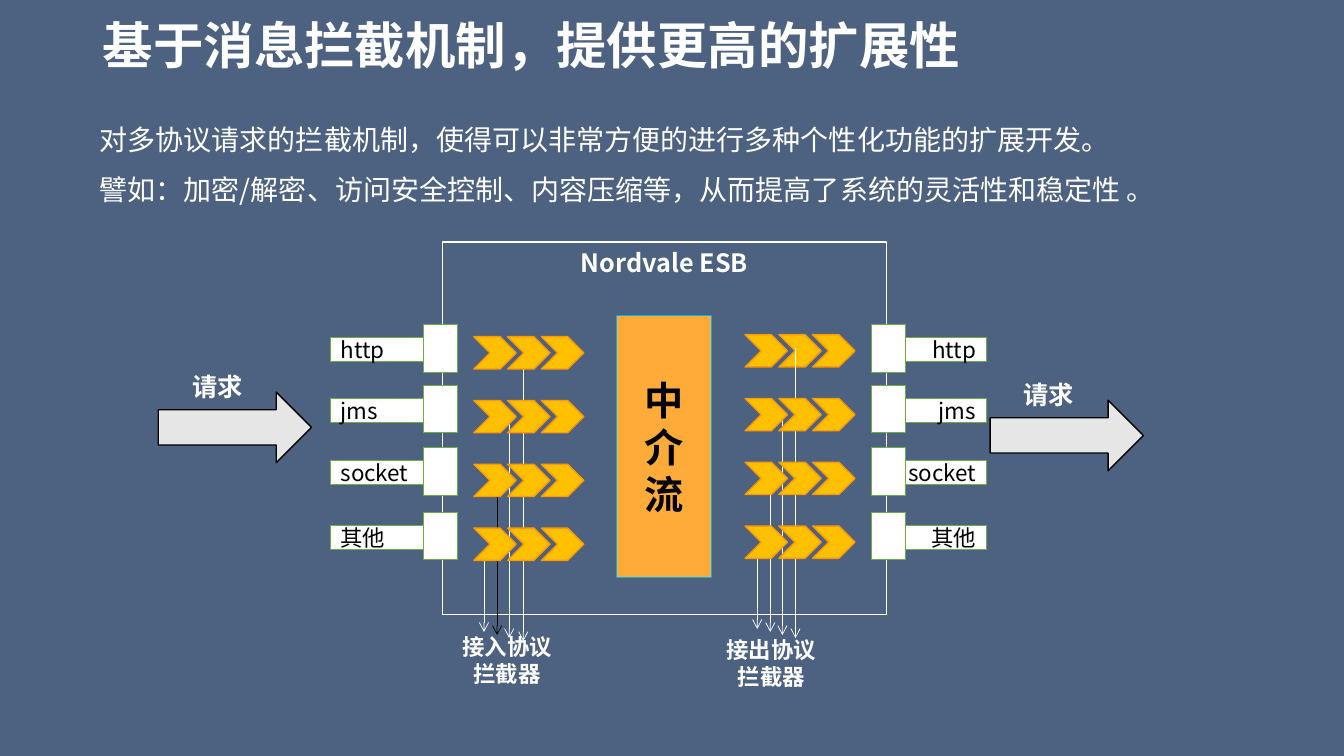
from pptx import Presentation
from pptx.dml.color import RGBColor
from pptx.enum import shapes as sh, text as tx
from pptx.oxml.ns import qn
from pptx.util import Inches, Pt
from lxml import etree

FONT = "Noto Sans CJK SC"
WHITE, BLACK = "FFFFFF", "000000"
RECT, CHEVRON, ARROW = (sh.MSO_SHAPE.RECTANGLE, sh.MSO_SHAPE.CHEVRON,
                        sh.MSO_SHAPE.RIGHT_ARROW)
LEFT, CENTER, RIGHT = tx.PP_ALIGN.LEFT, tx.PP_ALIGN.CENTER, tx.PP_ALIGN.RIGHT
TOP, MIDDLE = tx.MSO_ANCHOR.TOP, tx.MSO_ANCHOR.MIDDLE
rgb = RGBColor.from_string


def write(shape, words, size, color=WHITE, bold=False, align=LEFT,
          anchor=TOP, gap=None):
    frame = shape.text_frame
    frame.text = words
    frame.word_wrap = True
    frame.vertical_anchor = anchor
    for para in frame.paragraphs:
        para.alignment = align
        para.line_spacing = gap
        for run in para.runs:
            font = run.font
            font.name, font.size, font.bold = FONT, Pt(size), bold
            font.color.rgb = rgb(color)
            east = etree.SubElement(font._element, qn("a:ea"))
            east.set("typeface", FONT)


def draw(kind, x, y, w, h, fill, line, width):
    shape = slide.shapes.add_shape(kind, Inches(x), Inches(y),
                                   Inches(w), Inches(h))
    shape.shadow.inherit = False
    if fill:
        shape.fill.solid()
        shape.fill.fore_color.rgb = rgb(fill)
    else:
        shape.fill.background()
    shape.line.color.rgb = rgb(line)
    shape.line.width = Pt(width)
    return shape


deck = Presentation()
deck.slide_width, deck.slide_height = Inches(13.33), Inches(7.5)
slide = deck.slides.add_slide(deck.slide_layouts[5])
slide.background.fill.solid()
slide.background.fill.fore_color.rgb = rgb("4D6280")

# Title
title = slide.shapes.title
title.left, title.top = Inches(0.92), Inches(0.13)
title.width, title.height = Inches(11.5), Inches(0.7)
write(title, "基于消息拦截机制，提供更高的扩展性", 36, bold=True,
      anchor=MIDDLE, gap=0.9)

# Bus frame
frame = draw(RECT, 4.39, 2.4, 4.4, 3.7, None, WHITE, 1)
write(frame, "Nordvale ESB", 18, bold=True, align=CENTER)

# Protocol ports on both sides
ports = [("http", 3.35), ("jms", 3.95), ("socket", 4.57), ("其他", 5.21)]
for tag_x, port_x, align in [(3.28, 4.2, LEFT), (8.83, 8.64, RIGHT)]:
    for name, y in ports:
        tag = draw(RECT, tag_x, y, 0.95, 0.24, WHITE, "70AD47", 0.5)
        write(tag, name, 16, BLACK, align=align, anchor=MIDDLE)
        draw(RECT, port_x, y - 0.13, 0.34, 0.47, WHITE, "70AD47", 0.5)

# Mediation flow
flow = draw(RECT, 6.11, 3.13, 0.95, 2.6, "FFAB3A", "00B0F0", 0.5)
write(flow, "中介流", 28, BLACK, True, CENTER, MIDDLE)

# Interceptor chains; rows listed in "under" lie below the down arrows
starts = [5.48, 4.86, 4.15, 3.45]
sides = [
    (4.7, 3.34, [], [4.8, 4.93, 5.05, 5.19], 6.27,
     [WHITE, BLACK, WHITE, WHITE]),
    (7.39, 3.32, [0], [7.51, 7.64, 7.76, 7.89], 6.24, [WHITE] * 4),
]
for x, y, under, drops, end, colors in sides:
    over = [row for row in range(4) if row not in under]
    for rows in (under, over):
        if rows is over:
            for i, (drop, start, color) in enumerate(zip(drops, starts, colors)):
                line = slide.shapes.add_connector(
                    sh.MSO_CONNECTOR.STRAIGHT, Inches(drop), Inches(start),
                    Inches(drop), Inches(end + 0.03 * i))
                line.line.color.rgb = rgb(color)
                line.line.width = Pt(0.5)
                tail = etree.SubElement(line.line._get_or_add_ln(),
                                        qn("a:tailEnd"))
                tail.set("type", "arrow")
                etree.SubElement(line._element.spPr, qn("a:effectLst"))
        for row in rows:
            for col in range(3):
                draw(CHEVRON, x + 0.335 * col, y + 0.633 * row, 0.42, 0.32,
                     "FFC000", "FF9900", 1)

# Request arrows
for x, y in [(1.57, 3.89), (9.82, 3.97)]:
    draw(ARROW, x, y, 1.52, 0.7, "E6E6E6", BLACK, 1)

# Labels and introduction
intro = ("对多协议请求的拦截机制，使得可以非常方便的进行多种个性化功能的扩展开发。\n"
         "譬如：加密/解密、访问安全控制、内容压缩等，从而提高了系统的灵活性和稳定性 。")
notes = [
    (intro, 0.89, 1.07, 11.44, 0.95, 20, False, LEFT, MIDDLE, 1.5),
    ("接入协议拦截器", 4.38, 6.23, 1.3, 0.64, 16, True, CENTER, TOP, None),
    ("接出协议拦截器", 7, 6.26, 1.3, 0.64, 16, True, CENTER, TOP, None),
    ("请求", 1.81, 3.63, 0.87, 0.4, 18, True, LEFT, TOP, None),
    ("请求", 10.05, 3.71, 0.87, 0.4, 18, True, LEFT, TOP, None),
]
for words, x, y, w, h, size, bold, align, anchor, gap in notes:
    box = slide.shapes.add_textbox(Inches(x), Inches(y), Inches(w), Inches(h))
    write(box, words, size, WHITE, bold, align, anchor, gap)

deck.save("out.pptx")
